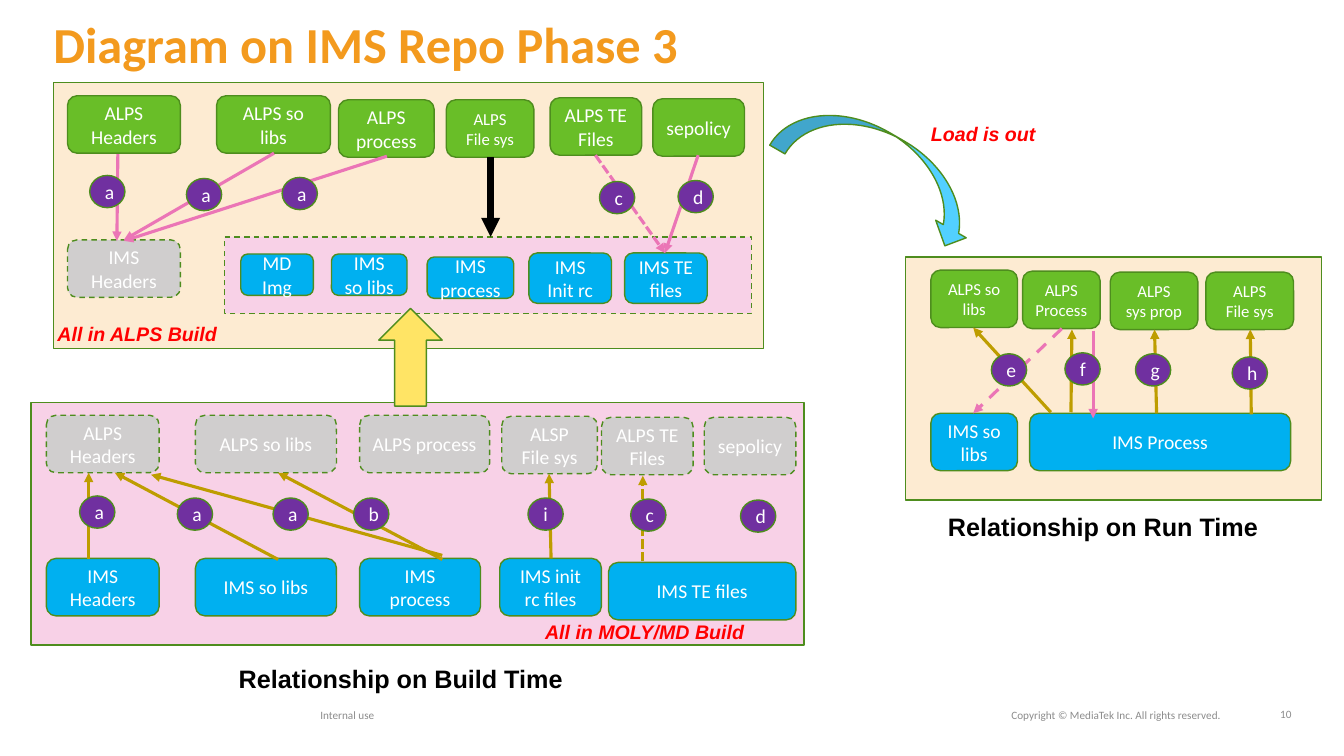
from lxml.etree import SubElement
from pptx import Presentation
from pptx.dml.color import RGBColor
from pptx.enum.dml import MSO_LINE
from pptx.enum.shapes import MSO_CONNECTOR, MSO_SHAPE
from pptx.enum.text import MSO_ANCHOR, MSO_AUTO_SIZE, PP_ALIGN
from pptx.oxml.ns import qn
from pptx.util import Emu, Pt

EMU_PER_PX = 9144  # 100 px to the inch

WHITE = RGBColor(0xFF, 0xFF, 0xFF)
BLACK = RGBColor(0x00, 0x00, 0x00)
ORANGE = RGBColor(0xF3, 0x9A, 0x1E)
FOOTER_GRAY = RGBColor(0x8C, 0x8C, 0x8C)
RED = RGBColor(0xFF, 0x00, 0x00)
OUTLINE = RGBColor(0x4E, 0x8D, 0x1E)
CREAM = RGBColor(0xFD, 0xEB, 0xD2)
ROSE = RGBColor(0xF8, 0xD1, 0xE7)
GREEN = RGBColor(0x69, 0xBE, 0x28)
BLUE = RGBColor(0x00, 0xB0, 0xF0)
STUB_GRAY = RGBColor(0xD0, 0xCE, 0xCE)
PURPLE = RGBColor(0x70, 0x30, 0xA0)
PINK = RGBColor(0xEB, 0x75, 0xB6)
GOLD = RGBColor(0xBE, 0x9D, 0x00)
YELLOW = RGBColor(0xFF, 0xE4, 0x65)
SKY = RGBColor(0x52, 0xD0, 0xFF)


def px(length):
    return Emu(length * EMU_PER_PX)


def write(frame, text, size=14, font="Calibri", color=WHITE, bold=False, italic=False,
          align=PP_ALIGN.CENTER, anchor=MSO_ANCHOR.MIDDLE, spacing=None, inset=None):
    frame.word_wrap = True
    frame.auto_size = MSO_AUTO_SIZE.NONE
    frame.vertical_anchor = anchor
    if inset is not None:
        frame.margin_left = frame.margin_right = px(inset)
        frame.margin_top = frame.margin_bottom = px(inset)
    frame.text = text
    for paragraph in frame.paragraphs:
        paragraph.alignment = align
        if spacing:
            paragraph.line_spacing = spacing
        paragraph.font.size = Pt(size)
        paragraph.font.name = font
        paragraph.font.bold = bold
        paragraph.font.italic = italic
        paragraph.font.color.rgb = color


class Diagram:
    def __init__(self, slide):
        self.slide = slide

    def title(self, text, left, top, width, height):
        title = self.slide.shapes.title
        title.left, title.top, title.width, title.height = map(px, (left, top, width, height))
        write(title.text_frame, text, size=36, color=ORANGE, bold=True, align=PP_ALIGN.LEFT,
              anchor=MSO_ANCHOR.TOP, spacing=0.82, inset=0)

    def shape(self, kind, left, top, width, height, fill, dash=None, rotation=0):
        shape = self.slide.shapes.add_shape(kind, *map(px, (left, top, width, height)))
        shape.shadow.inherit = False
        shape.fill.solid()
        shape.fill.fore_color.rgb = fill
        shape.line.color.rgb = OUTLINE
        shape.line.width = Pt(1)
        if dash:
            shape.line.dash_style = dash
        shape.rotation = rotation
        return shape

    def panel(self, left, top, width, height, fill, dash=None):
        self.shape(MSO_SHAPE.RECTANGLE, left, top, width, height, fill, dash)

    def module(self, fill, text, left, top, width, height=57, size=14):
        """Rounded box; the gray stubs are dashed."""
        dash = MSO_LINE.DASH if fill == STUB_GRAY else None
        box = self.shape(MSO_SHAPE.ROUNDED_RECTANGLE, left, top, width, height, fill, dash)
        write(box.text_frame, text, size=size)

    def badge(self, letter, left, top):
        circle = self.shape(MSO_SHAPE.OVAL, left, top, 35, 32, PURPLE)
        write(circle.text_frame, letter)

    def arrow(self, color, x1, y1, x2, y2, dash=None, width=2.25):
        arrow = self.slide.shapes.add_connector(MSO_CONNECTOR.STRAIGHT,
                                                *map(px, (x1, y1, x2, y2)))
        arrow.line.color.rgb = color
        arrow.line.width = Pt(width)
        if dash:
            arrow.line.dash_style = dash
        properties = arrow._element.spPr
        SubElement(properties.find(qn("a:ln")), qn("a:tailEnd"), type="triangle")
        SubElement(properties, qn("a:effectLst"))

    def label(self, text, left, top, width, height, **style):
        box = self.slide.shapes.add_textbox(*map(px, (left, top, width, height)))
        write(box.text_frame, text, inset=0, **style)


PANELS = [
    (53, 82, 705, 264, CREAM),
    (223, 235, 523, 76, ROSE, MSO_LINE.DASH),
    (899, 255, 413, 241, CREAM),
    (31, 399, 767, 241, ROSE),
]

MODULES = {
    GREEN: [
        ("ALPS Headers", 67, 95, 112), ("ALPS so libs", 215, 95, 113),
        ("ALPS process", 336, 99, 95), ("ALPS\nFile sys", 443, 99, 87, 57, 12),
        ("ALPS TE Files", 546, 97, 91), ("sepolicy", 648, 98, 91),
        ("ALPS so libs", 924, 268, 86, 57, 12), ("ALPS Process", 1015, 269, 77, 57, 12),
        ("ALPS\nsys prop", 1102, 270, 87, 57, 12), ("ALPS\nFile sys", 1197, 270, 87, 57, 12),
    ],
    STUB_GRAY: [
        ("IMS Headers", 67, 238, 112),
        ("ALPS Headers", 46, 412, 112), ("ALPS so libs", 194, 412, 140),
        ("ALPS process", 357, 412, 129), ("ALSP\nFile sys", 498, 413, 95),
        ("ALPS TE Files", 597, 414, 91), ("sepolicy", 699, 414, 91),
    ],
    BLUE: [
        ("MD Img", 239, 252, 72, 41), ("IMS so libs", 329, 252, 75, 41),
        ("IMS process", 424, 255, 86, 41), ("IMS\nInit rc", 525, 251, 82, 50),
        ("IMS TE files", 620, 251, 82, 50),
        ("IMS Headers", 46, 554, 112), ("IMS so libs", 194, 554, 140),
        ("IMS process", 357, 554, 120), ("IMS init rc files", 496, 554, 101),
        ("IMS TE files", 604, 558, 186),
        ("IMS so libs", 924, 410, 86), ("IMS Process", 1022, 410, 259),
    ],
}

ARROWS = {
    PINK: [
        (272, 152, 123, 238), (117, 153, 116, 239), (384, 155, 123, 239),
        (591, 154, 660, 251, MSO_LINE.SQUARE_DOT), (693, 154, 660, 251),
        (1054, 326, 966, 410, MSO_LINE.DASH), (1085, 328, 1085, 415),
    ],
    GOLD: [
        (1043, 409, 966, 325), (1063, 409, 1064, 327),
        (1148, 410, 1146, 327), (1242, 411, 1241, 327),
        (88, 555, 88, 469), (439, 555, 276, 469), (276, 555, 114, 469),
        (439, 551, 150, 471), (547, 554, 545, 470),
        (638, 557, 638, 472, MSO_LINE.SQUARE_DOT),
    ],
    BLACK: [(487, 156, 487, 235, None, 4.5)],
}

BADGES = [
    ("a", 89, 174), ("a", 185, 177), ("a", 280, 176), ("c", 595, 180), ("d", 673, 179),
    ("e", 984, 351), ("f", 1057, 350), ("g", 1127, 351), ("h", 1223, 354),
    ("a", 79, 492), ("a", 176, 494), ("a", 271, 494), ("b", 351, 494),
    ("i", 524, 494), ("c", 626, 495), ("d", 735, 496),
]

NOTES = [("All in ALPS Build", 57, 319), ("All in MOLY/MD Build", 541, 615),
         ("Load is out", 924, 121)]
CAPTIONS = [("Relationship on Build Time", 237, 658), ("Relationship on Run Time", 941, 507)]
FOOTERS = [
    ("Internal use", 318, 701, 473, PP_ALIGN.LEFT),
    ("Copyright © MediaTek Inc. All rights reserved.", 870, 701, 342, PP_ALIGN.RIGHT),
    ("10", 1241, 700, 41, PP_ALIGN.RIGHT),
]


def main():
    deck = Presentation()
    deck.slide_width, deck.slide_height = px(1334), px(750)
    diagram = Diagram(deck.slides.add_slide(deck.slide_layouts[5]))

    diagram.title("Diagram on IMS Repo Phase 3", 53, 24, 1228, 72)
    for panel in PANELS:
        diagram.panel(*panel)
    for fill, modules in MODULES.items():
        for module in modules:
            diagram.module(fill, *module)
    for color, arrows in ARROWS.items():
        for arrow in arrows:
            diagram.arrow(color, *arrow)
    for badge in BADGES:
        diagram.badge(*badge)
    diagram.shape(MSO_SHAPE.UP_ARROW, 376, 306, 63, 97, YELLOW)
    diagram.shape(MSO_SHAPE.CURVED_DOWN_ARROW, 767, 133, 218, 70, SKY, rotation=29.9)

    arial = dict(font="Arial", bold=True, align=PP_ALIGN.LEFT, anchor=MSO_ANCHOR.TOP)
    for text, left, top in NOTES:
        diagram.label(text, left, top, 231, 18, color=RED, italic=True, **arial)
    for text, left, top in CAPTIONS:
        diagram.label(text, left, top, 340, 23, size=18, color=BLACK, **arial)
    for text, left, top, width, align in FOOTERS:
        diagram.label(text, left, top, width, 16, size=8, color=FOOTER_GRAY, align=align)

    deck.save("out.pptx")


if __name__ == "__main__":
    main()
